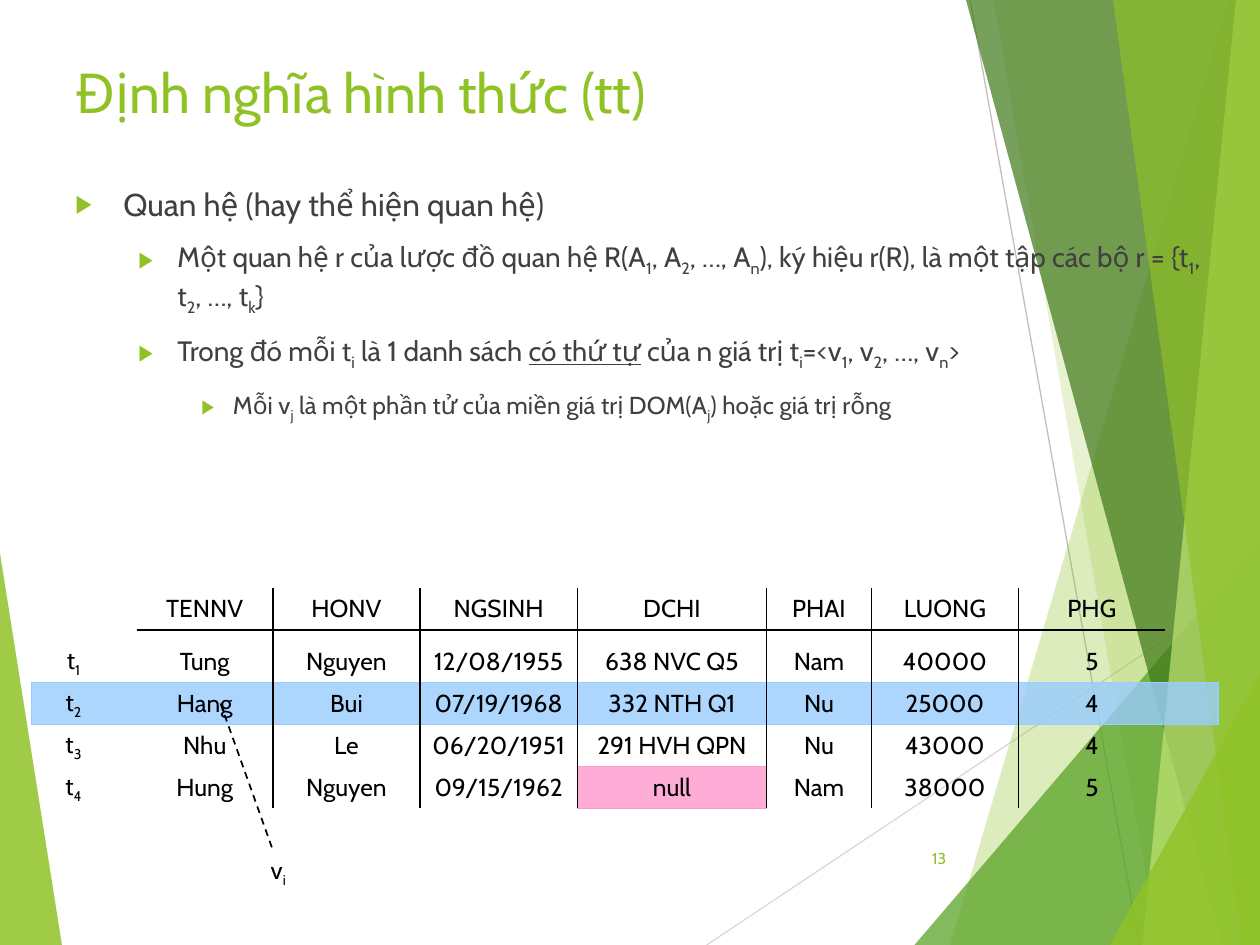
"""Build the slide that defines a relation formally, with an example employee table."""
from dataclasses import dataclass
from itertools import accumulate
from typing import NamedTuple

from lxml import etree
from pptx import Presentation
from pptx import util as u
from pptx.dml.color import RGBColor
from pptx.enum import dml, shapes, text
from pptx.oxml import ns


@dataclass(frozen=True)
class Theme:
    font: str = "Cabin"
    accent: str = "90C226"
    body: str = "404040"
    ink: str = "000000"
    green: str = "54A021"
    dark_green: str = "3F7819"
    pale_green: str = "C0E474"
    light_gray: str = "D9D9D9"
    gray: str = "BFBFBF"
    tuple_band: str = "99CCFF"
    null_band: str = "FF99CC"
    title_size: float = 31.5
    level_sizes: tuple[int, ...] = (18, 16, 14)
    cell_size: int = 14
    number_size: int = 9


class Box(NamedTuple):
    col: float
    row: float
    cols: float
    rows: float


class Facet(NamedTuple):
    points: tuple[tuple[float, float], ...]
    color: str
    opacity: int


class Stroke(NamedTuple):
    start: tuple[float, float]
    end: tuple[float, float]
    color: str
    width: float = 1
    dashed: bool = False


class Point(NamedTuple):
    level: int
    markup: str


THEME = Theme()
COLS, ROWS = 120, 90
UNIT = u.Inches(10) // COLS
INDENTS = ((0.38, 0.38), (0.81, 0.31), (1.25, 0.25))

LEFT_FACET = Facet(((0, 52.7), (5.9, ROWS), (0, ROWS)), THEME.accent, 85)
GUIDES = (
    Stroke((67.3, ROWS), (COLS, 54.9), THEME.light_gray, 0.75),
    Stroke((92.4, 0), (108.5, ROWS), THEME.gray, 0.75),
)
RIGHT_FACETS = tuple(
    Facet(((top, 0), (bottom, ROWS), (COLS, ROWS), (COLS, 0)), color, opacity)
    for top, bottom, color, opacity in (
        (117, 90.5, THEME.accent, 30),
        (94.6, 110.3, THEME.accent, 20),
        (92, 116.4, THEME.dark_green, 70),
        (117.7, 108.8, THEME.pale_green, 70),
        (106, 118.3, THEME.accent, 65),
    )
)
CORNER_FACETS = tuple(
    Facet(((left, ROWS), (COLS, top), (COLS, ROWS)), color, opacity)
    for left, top, color, opacity in (
        (87.1, 51.5, THEME.green, 72),
        (105.7, 64.2, THEME.accent, 80),
    )
)
FACETS = (*RIGHT_FACETS[:2], CORNER_FACETS[0], *RIGHT_FACETS[2:], CORNER_FACETS[1])

POINTS = (
    Point(0, "Quan hệ (hay thể hiện quan hệ)"),
    Point(1, "Một quan hệ r của lược đồ quan hệ R(A|_1|, A|_2|, …, A|_n|), ký hiệu r(R), "
             "là một tập các bộ r = {t|_1|, t|_2|, …, t|_k|}"),
    Point(1, "Trong đó mỗi t|_i| là 1 danh sách |*có thứ tự| của n giá trị "
             "t|_i|=<v|_1|, v|_2|, …, v|_n|>"),
    Point(2, "Mỗi v|_j| là một phần tử của miền giá trị DOM(A|_j|) hoặc giá trị rỗng"),
)
EMPLOYEES = (
    ("TENNV", "HONV", "NGSINH", "DCHI", "PHAI", "LUONG", "PHG"),
    ("Tung", "Nguyen", "12/08/1955", "638 NVC Q5", "Nam", "40000", "5"),
    ("Hang", "Bui", "07/19/1968", "332 NTH Q1", "Nu", "25000", "4"),
    ("Nhu", "Le", "06/20/1951", "291 HVH QPN", "Nu", "43000", "4"),
    ("Hung", "Nguyen", "09/15/1962", "null", "Nam", "38000", "5"),
)
TABLE_LEFT, TABLE_TOP = 13, 56
WIDTHS = (13, 14, 15, 18, 10, 14, 14)
HEIGHTS = (4, 5, 4, 4, 4)
ROW_TOPS = tuple(accumulate(HEIGHTS, initial=TABLE_TOP))


def grid(length: float) -> int:
    """Turn grid units into a length."""
    return round(length * UNIT)


def place(box: Box) -> tuple[int, ...]:
    """Turn a grid box into left, top, width and height."""
    return tuple(map(grid, box))


def add_xml(parent, tag: str, **attributes: str):
    """Append a drawing element to a parent."""
    return etree.SubElement(parent, ns.qn(tag), attributes)


def write(paragraph, markup: str, *, size: float, color: str = THEME.ink,
          align=text.PP_ALIGN.LEFT) -> None:
    """Write marked-up text, where _ lowers and * underlines a part between bars."""
    paragraph.alignment = align
    for part in markup.split("|"):
        run = paragraph.add_run()
        run.text = part.lstrip("_*")
        run.font.name, run.font.size = THEME.font, u.Pt(size)
        run.font.color.rgb = RGBColor.from_string(color)
        if part.startswith("_"):
            run._r.get_or_add_rPr().set("baseline", "-25000")
        elif part.startswith("*"):
            run.font.underline = True


def paint(shape, color: str, opacity: int) -> None:
    """Fill a shape with a see-through colour."""
    shape.shadow.inherit = False
    shape.fill.solid()
    shape.fill.fore_color.rgb = RGBColor.from_string(color)
    tint = next(shape.element.spPr.iter(ns.qn("a:srgbClr")))
    add_xml(tint, "a:alpha", val=str(opacity * 1000))


def draw_facet(slide, facet: Facet) -> None:
    """Draw one polygon of the backdrop."""
    start, *others = facet.points
    builder = slide.shapes.build_freeform(*map(grid, start))
    builder.add_line_segments([tuple(map(grid, point)) for point in others], close=True)
    polygon = builder.convert_to_shape()
    paint(polygon, facet.color, facet.opacity)
    polygon.line.fill.background()


def draw_stroke(slide, stroke: Stroke) -> None:
    """Draw one straight line."""
    line = slide.shapes.add_connector(
        shapes.MSO_CONNECTOR.STRAIGHT, *map(grid, (*stroke.start, *stroke.end)))
    line.line.color.rgb = RGBColor.from_string(stroke.color)
    line.line.width = u.Pt(stroke.width)
    if stroke.dashed:
        line.line.dash_style = dml.MSO_LINE.DASH
    add_xml(line.element.spPr, "a:effectLst")


def draw_band(slide, box: Box, color: str) -> None:
    """Draw a highlight behind part of the table."""
    band = slide.shapes.add_shape(shapes.MSO_SHAPE.RECTANGLE, *place(box))
    paint(band, color, 80)
    band.line.color.rgb = RGBColor.from_string(color)
    band.line.width = u.Pt(1)


def add_frame(slide, box: Box, anchor=text.MSO_ANCHOR.MIDDLE):
    """Add a wrapping text box and return its frame."""
    frame = slide.shapes.add_textbox(*place(box)).text_frame
    frame.word_wrap = True
    frame.vertical_anchor = anchor
    return frame


def draw_label(slide, box: Box, markup: str, **style) -> None:
    """Draw a one-line label."""
    write(add_frame(slide, box).paragraphs[0], markup, **style)


def draw_points(slide, box: Box) -> None:
    """Draw the bulleted definition."""
    frame = add_frame(slide, box, text.MSO_ANCHOR.TOP)
    for index, point in enumerate(POINTS):
        paragraph = frame.add_paragraph() if index else frame.paragraphs[0]
        paragraph.level = point.level
        paragraph.space_before = u.Pt(10)
        write(paragraph, point.markup, size=THEME.level_sizes[point.level], color=THEME.body)
        margin, hang = INDENTS[point.level]
        props = paragraph._p.get_or_add_pPr()
        props.set("marL", str(u.Inches(margin)))
        props.set("indent", str(-u.Inches(hang)))
        add_xml(add_xml(props, "a:buClr"), "a:srgbClr", val=THEME.accent)
        add_xml(props, "a:buSzPct", val="80000")
        add_xml(props, "a:buFont", typeface=THEME.font)
        add_xml(props, "a:buChar", char="▶")


def rule_cell(cell, ruled: dict[str, bool]) -> None:
    """Set which sides of a cell carry a line."""
    props = cell._tc.get_or_add_tcPr()
    for side, shown in ruled.items():
        edge = add_xml(props, f"a:ln{side}", w=str(u.Pt(1)))
        if shown:
            add_xml(add_xml(edge, "a:solidFill"), "a:srgbClr", val=THEME.ink)
        else:
            add_xml(edge, "a:noFill")


def draw_employees(slide) -> None:
    """Draw the example relation as a table."""
    box = Box(TABLE_LEFT, TABLE_TOP, sum(WIDTHS), sum(HEIGHTS))
    table = slide.shapes.add_table(len(HEIGHTS), len(WIDTHS), *place(box)).table
    table.first_row = table.horz_banding = False
    for column, width in zip(table.columns, WIDTHS):
        column.width = grid(width)
    for r, values in enumerate(EMPLOYEES):
        table.rows[r].height = grid(HEIGHTS[r])
        for c, value in enumerate(values):
            cell = table.cell(r, c)
            cell.margin_left = cell.margin_right = cell.margin_bottom = u.Inches(0.02)
            cell.margin_top = u.Inches(0.02) + grid(HEIGHTS[r] - 4)
            cell.vertical_anchor = text.MSO_ANCHOR.MIDDLE
            write(cell.text_frame.paragraphs[0], value, size=THEME.cell_size,
                  align=text.PP_ALIGN.CENTER)
            rule_cell(cell, {"L": c > 0, "R": c < len(WIDTHS) - 1, "T": r == 1, "B": r == 0})
            cell.fill.background()


def main() -> None:
    """Build and save the slide."""
    deck = Presentation()
    deck.slide_width, deck.slide_height = COLS * UNIT, ROWS * UNIT
    slide = deck.slides.add_slide(deck.slide_layouts.get_by_name("Title Only"))
    draw_facet(slide, LEFT_FACET)
    for guide in GUIDES:
        draw_stroke(slide, guide)
    for facet in FACETS:
        draw_facet(slide, facet)

    title = slide.shapes.title
    title.left, title.top, title.width, title.height = place(Box(6, 4.67, 108, 8.17))
    title.text_frame.vertical_anchor = text.MSO_ANCHOR.MIDDLE
    write(title.text_frame.paragraphs[0], "Định nghĩa hình thức (tt)",
          size=THEME.title_size, color=THEME.accent)
    title.element.getparent().append(title.element)

    draw_points(slide, Box(6, 17, 110, 63.5))
    draw_label(slide, Box(84.6, 79.3, 6.7, 4.8), "13", size=THEME.number_size,
               color=THEME.accent, align=text.PP_ALIGN.RIGHT)
    draw_band(slide, Box(TABLE_LEFT + sum(WIDTHS[:3]), ROW_TOPS[4], WIDTHS[3], 4),
              THEME.null_band)
    draw_band(slide, Box(3, ROW_TOPS[2], 113, 4), THEME.tuple_band)
    draw_employees(slide)

    centred = {"size": THEME.cell_size, "align": text.PP_ALIGN.CENTER}
    for number, bottom in enumerate(ROW_TOPS[2:], start=1):
        draw_label(slide, Box(2, bottom - 4, 10, 4), f"t|_{number}", **centred)
    draw_label(slide, Box(21, 81, 11, 4), "v|_i", **centred)
    draw_stroke(slide, Stroke((21, 67), (26, 81), THEME.ink, dashed=True))
    deck.save("out.pptx")


if __name__ == "__main__":
    main()
